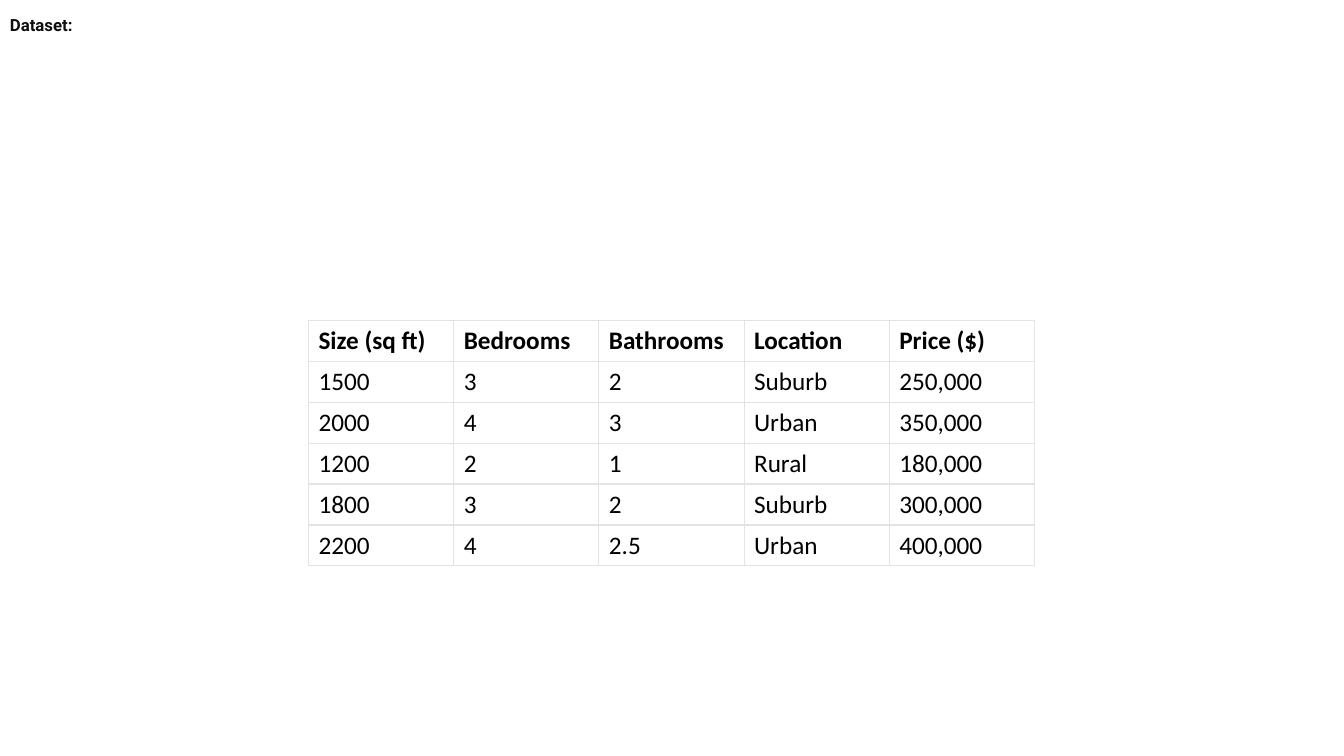
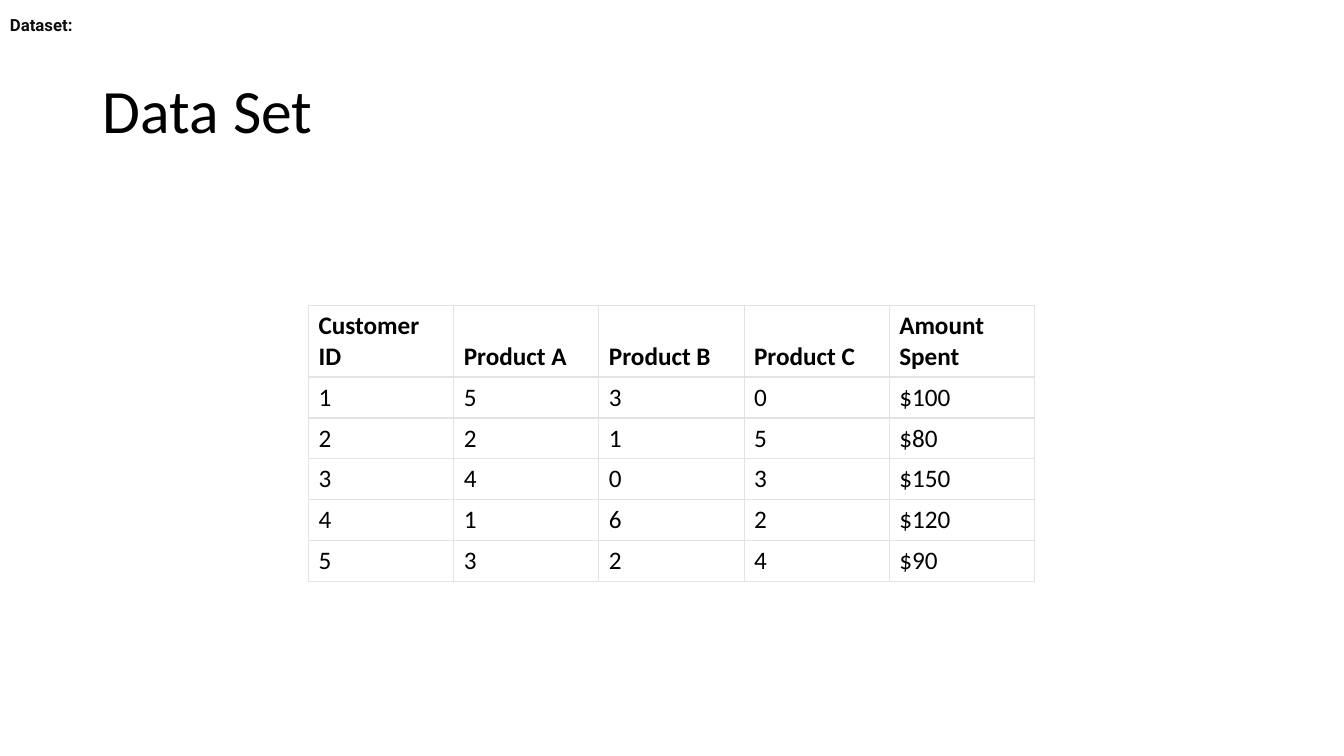
from lxml import etree
from pptx import Presentation
from pptx.dml.color import RGBColor
from pptx.enum.shapes import MSO_SHAPE
from pptx.enum.text import MSO_ANCHOR, PP_ALIGN
from pptx.oxml.ns import qn
from pptx.util import Inches, Pt

COLORS = {"paper": "FFFFFF", "text": "000000", "label": "0D0D0D", "grid": "E3E3E3"}
SLIDE_WIDTH, SLIDE_HEIGHT = 13.33, 7.5
TABLE_LEFT, COLUMN_WIDTH, ROW_HEIGHT = 3.06, 1.44, 0.4
TITLE_ONLY, BLANK = 5, 6
OUTER_LINE, INNER_LINE = 0.75, 1

HOUSES = [
    ["Size (sq ft)", "Bedrooms", "Bathrooms", "Location", "Price ($)"],
    ["1500", "3", "2", "Suburb", "250,000"],
    ["2000", "4", "3", "Urban", "350,000"],
    ["1200", "2", "1", "Rural", "180,000"],
    ["1800", "3", "2", "Suburb", "300,000"],
    ["2200", "4", "2.5", "Urban", "400,000"],
]
CUSTOMERS = [
    ["Customer ID", "Product A", "Product B", "Product C", "Amount Spent"],
    ["1", "5", "3", "0", "$100"],
    ["2", "2", "1", "5", "$80"],
    ["3", "4", "0", "3", "$150"],
    ["4", "1", "6", "2", "$120"],
    ["5", "3", "2", "4", "$90"],
]


def color(name):
    return RGBColor.from_string(COLORS[name])


def write_text(text_frame, text, size=18, font="Calibri", ink="text", bold=False, spacing=None):
    paragraph = text_frame.paragraphs[0]
    paragraph.alignment = PP_ALIGN.LEFT
    paragraph.line_spacing = spacing
    run = paragraph.add_run()
    run.text = text
    run.font.size = Pt(size)
    run.font.name = font
    run.font.bold = bold
    run.font.color.rgb = color(ink)


def fill_solid(target, name):
    target.fill.solid()
    target.fill.fore_color.rgb = color(name)


def add_borders(cell, top, bottom):
    properties = cell._tc.get_or_add_tcPr()
    widths = {"lnL": OUTER_LINE, "lnR": OUTER_LINE, "lnT": top, "lnB": bottom}
    for tag, width in widths.items():
        line = etree.SubElement(properties, qn(f"a:{tag}"), w=str(Pt(width)))
        fill = etree.SubElement(line, qn("a:solidFill"))
        etree.SubElement(fill, qn("a:srgbClr"), val=COLORS["grid"])


def add_data_table(slide, rows, top, header_height=ROW_HEIGHT):
    column_count = len(rows[0])
    height = header_height + ROW_HEIGHT * (len(rows) - 1)
    table = slide.shapes.add_table(
        len(rows), column_count, Inches(TABLE_LEFT), Inches(top),
        Inches(COLUMN_WIDTH * column_count), Inches(height),
    ).table
    table.horz_banding = False
    for column in table.columns:
        column.width = Inches(COLUMN_WIDTH)
    for row_index, values in enumerate(rows):
        is_header = row_index == 0
        is_last = row_index == len(rows) - 1
        table.rows[row_index].height = Inches(header_height if is_header else ROW_HEIGHT)
        for column_index, value in enumerate(values):
            cell = table.cell(row_index, column_index)
            cell.vertical_anchor = MSO_ANCHOR.BOTTOM if is_header else MSO_ANCHOR.MIDDLE
            add_borders(
                cell,
                OUTER_LINE if is_header else INNER_LINE,
                OUTER_LINE if is_last else INNER_LINE,
            )
            fill_solid(cell, "paper")
            write_text(cell.text_frame, value, bold=is_header)


def add_label_band(slide):
    band = slide.shapes.add_shape(MSO_SHAPE.RECTANGLE, 0, 0, Inches(SLIDE_WIDTH), Inches(0.5))
    band.shadow.inherit = False
    fill_solid(band, "paper")
    band.line.fill.background()
    band.text_frame.word_wrap = True
    band.text_frame.vertical_anchor = MSO_ANCHOR.MIDDLE
    write_text(band.text_frame, "Dataset:", size=12, font="Roboto", ink="label", bold=True)


def set_title(slide, text):
    title = slide.shapes.title
    title.left, title.top = Inches(0.92), Inches(0.4)
    title.width, title.height = Inches(11.5), Inches(1.45)
    title.text_frame.vertical_anchor = MSO_ANCHOR.MIDDLE
    write_text(title.text_frame, text, size=44, spacing=0.9)


def add_dataset_slide(presentation, rows, top, title=None, header_height=ROW_HEIGHT):
    layout = presentation.slide_layouts[TITLE_ONLY if title else BLANK]
    slide = presentation.slides.add_slide(layout)
    if title:
        set_title(slide, title)
    add_data_table(slide, rows, top, header_height)
    add_label_band(slide)


def main():
    presentation = Presentation()
    presentation.slide_width = Inches(SLIDE_WIDTH)
    presentation.slide_height = Inches(SLIDE_HEIGHT)
    add_dataset_slide(presentation, HOUSES, top=3.18)
    add_dataset_slide(presentation, CUSTOMERS, top=3.03, title="Data Set", header_height=0.7)
    presentation.save("out.pptx")


if __name__ == "__main__":
    main()
